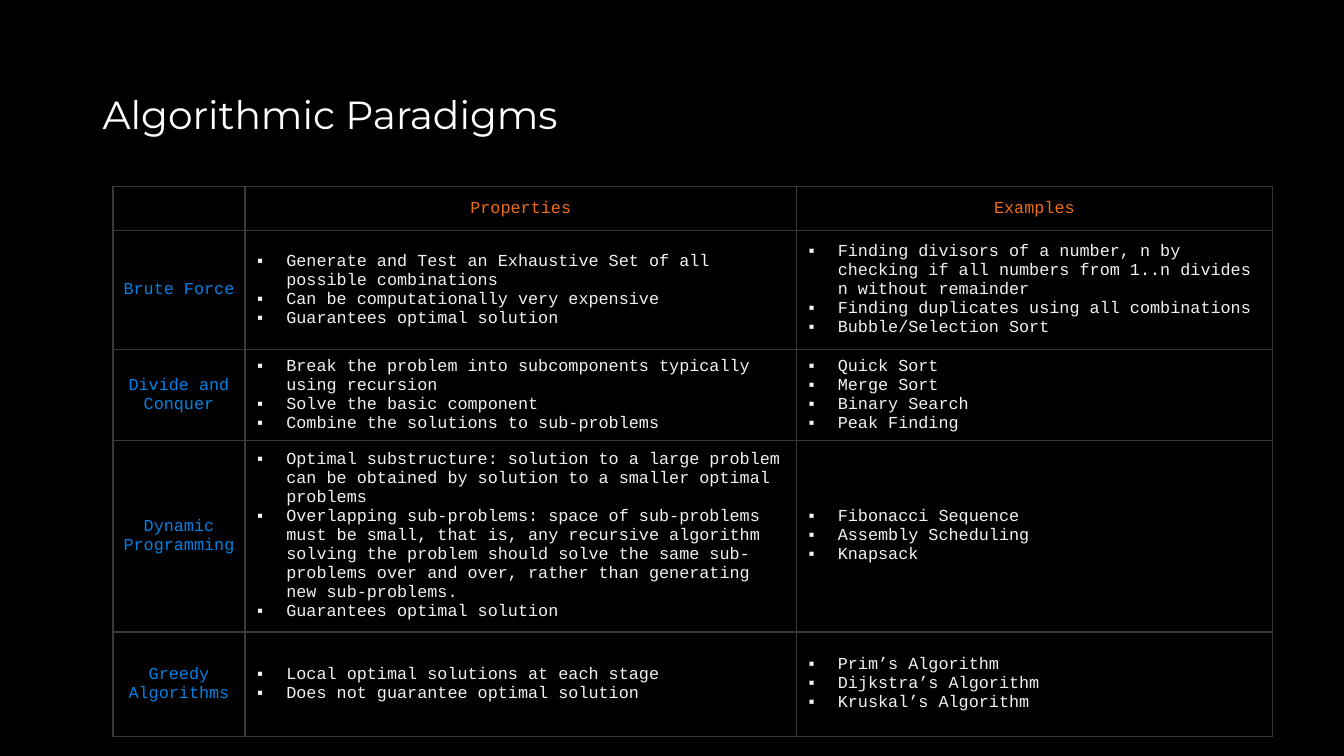
"""Builds the Algorithmic Paradigms comparison slide."""
from lxml.etree import SubElement
from pptx import Presentation
from pptx.dml.color import RGBColor
from pptx.enum.text import MSO_ANCHOR, PP_ALIGN
from pptx.oxml import parse_xml
from pptx.oxml.ns import nsdecls, qn
from pptx.util import Inches, Pt


def color(value):
    return RGBColor.from_string(value)


def write(frame, *lines, font="Courier New", size=12, fill="F2F2F2", align=PP_ALIGN.LEFT, bullet=None):
    frame.word_wrap = True
    for index, line in enumerate(lines):
        paragraph = frame.add_paragraph() if index else frame.paragraphs[0]
        paragraph.alignment = align
        if bullet:
            properties = paragraph._p.get_or_add_pPr()
            properties.set("marL", str(Inches(0.31)))
            properties.set("indent", str(-Inches(0.31)))
            SubElement(properties, qn("a:buFont"), typeface=font)
            SubElement(properties, qn("a:buChar"), char=bullet)
        run = paragraph.add_run()
        run.text = line
        run.font.name = font
        run.font.size = Pt(size)
        run.font.bold = False
        run.font.color.rgb = color(fill)


HEADINGS = ["Properties", "Examples"]
PARADIGMS = [
    ("Brute Force",
     ["Generate and Test an Exhaustive Set of all possible combinations",
      "Can be computationally very expensive",
      "Guarantees optimal solution"],
     ["Finding divisors of a number, n by checking if all numbers from 1..n divides n without remainder",
      "Finding duplicates using all combinations",
      "Bubble/Selection Sort"]),
    ("Divide and Conquer",
     ["Break the problem into subcomponents typically using recursion",
      "Solve the basic component",
      "Combine the solutions to sub-problems"],
     ["Quick Sort", "Merge Sort", "Binary Search", "Peak Finding"]),
    ("Dynamic Programming",
     ["Optimal substructure: solution to a large problem can be obtained by solution to a smaller "
      "optimal problems",
      "Overlapping sub-problems: space of sub-problems must be small, that is, any recursive algorithm "
      "solving the problem should solve the same sub-problems over and over, rather than generating "
      "new sub-problems.",
      "Guarantees optimal solution"],
     ["Fibonacci Sequence", "Assembly Scheduling", "Knapsack"]),
    ("Greedy Algorithms",
     ["Local optimal solutions at each stage",
      "Does not guarantee optimal solution"],
     ["Prim’s Algorithm", "Dijkstra’s Algorithm", "Kruskal’s Algorithm"]),
]
COLUMN_WIDTHS = [1.31, 5.47, 4.72]
ROW_HEIGHTS = [0.44, 1.18, 0.85, 1.8, 1.04]

presentation = Presentation()
presentation.slide_width = Inches(13.33)
presentation.slide_height = Inches(7.5)
slide = presentation.slides.add_slide(presentation.slide_layouts[6])
slide.background.fill.solid()
slide.background.fill.fore_color.rgb = color("000000")

title = slide.shapes.add_textbox(Inches(0.92), Inches(0.4), Inches(11.5), Inches(1.45))
title.text_frame.vertical_anchor = MSO_ANCHOR.MIDDLE
write(title.text_frame, "Algorithmic Paradigms", font="Montserrat", size=28, fill="FFFFFF")

table = slide.shapes.add_table(
    len(ROW_HEIGHTS), len(COLUMN_WIDTHS), Inches(1.12), Inches(1.85),
    Inches(sum(COLUMN_WIDTHS)), Inches(sum(ROW_HEIGHTS))).table
table.first_row = False
table.horz_banding = False
for column, width in zip(table.columns, COLUMN_WIDTHS):
    column.width = Inches(width)
for row, height in zip(table.rows, ROW_HEIGHTS):
    row.height = Inches(height)

for cell in table.iter_cells():
    cell.vertical_anchor = MSO_ANCHOR.MIDDLE
    cell.fill.background()
    for position, side in enumerate(["lnL", "lnR", "lnT", "lnB"]):
        border = parse_xml(
            f'<a:{side} {nsdecls("a")} w="{Pt(1)}"><a:solidFill><a:srgbClr val="3B3838"/>'
            f'</a:solidFill></a:{side}>')
        cell._tc.get_or_add_tcPr().insert(position, border)

for column_index, heading in enumerate(HEADINGS, start=1):
    write(table.cell(0, column_index).text_frame, heading, fill="EB6E19", align=PP_ALIGN.CENTER)
for row_index, (name, *lists) in enumerate(PARADIGMS, start=1):
    write(table.cell(row_index, 0).text_frame, name, fill="0081E2", align=PP_ALIGN.CENTER)
    for column_index, items in enumerate(lists, start=1):
        write(table.cell(row_index, column_index).text_frame, *items, bullet="▪")

presentation.save("out.pptx")
